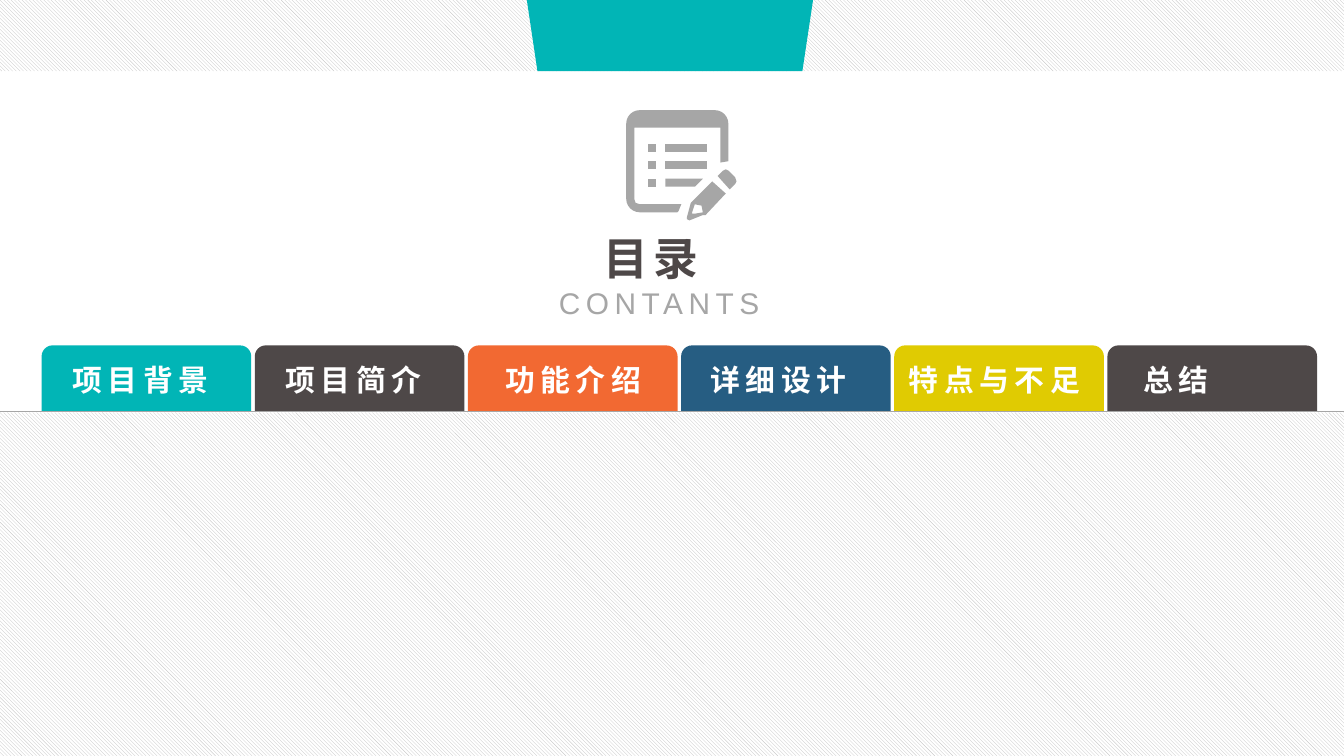
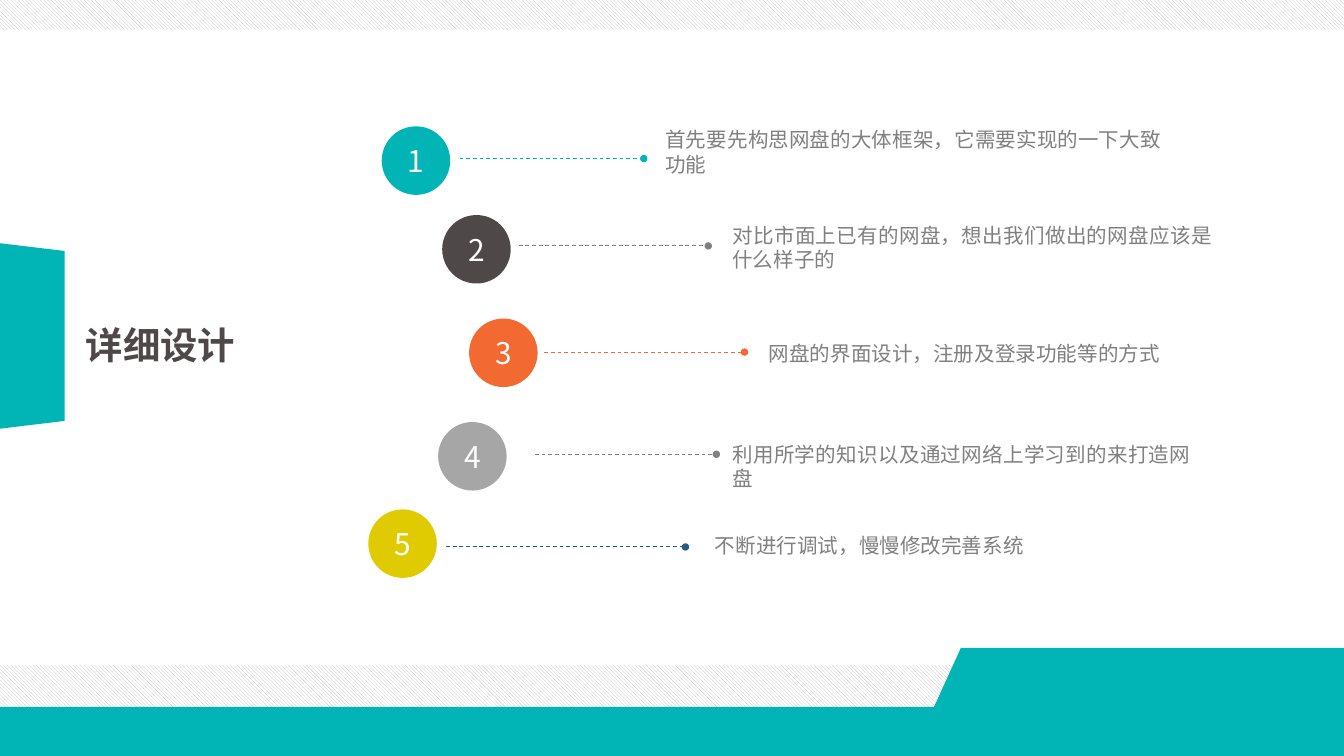
import math

import pptx
import pptx.dml.color
import pptx.enum.dml
import pptx.enum.shapes
import pptx.enum.text
import pptx.oxml.ns
import pptx.util

Inches = pptx.util.Inches
Pt = pptx.util.Pt
SHAPE = pptx.enum.shapes.MSO_SHAPE
ALIGN = pptx.enum.text.PP_ALIGN
qn = pptx.oxml.ns.qn

WIDTH = 10
HEIGHT = WIDTH * 9 / 16
CJK, LATIN = "Noto Sans CJK SC", "Arial"
COLORS = {
    "teal": "01B5B6",
    "dark": "4E4848",
    "orange": "F26932",
    "blue": "265D82",
    "yellow": "E0CB02",
    "silver": "A6A6A6",
    "gray": "808080",
    "hatch": "BFBFBF",
    "white": "FFFFFF",
}
STYLES = {
    "tab": {"size": Pt(16), "bold": True, "name": CJK, "color": "white", "spacing": 3},
    "heading": {"size": Pt(24), "bold": True, "name": CJK, "color": "dark", "spacing": 3},
    "subheading": {"size": Pt(16), "name": LATIN, "color": "silver", "spacing": 3},
    "title": {"size": Pt(20), "bold": True, "name": CJK, "color": "dark"},
    "number": {"size": Pt(16), "name": CJK, "color": "white"},
    "body": {"size": Pt(11), "name": CJK, "color": "gray"},
}

# label, colour, label offset from the tab, label width
TABS = [
    ("项目背景", "teal", 0.13, 1.27),
    ("项目简介", "dark", 0.13, 1.27),
    ("功能介绍", "orange", 0.18, 1.27),
    ("详细设计", "blue", 0.12, 1.27),
    ("特点与不足", "yellow", 0.01, 1.55),
    ("总结", "dark", 0.17, 1.27),
]

# circle left and top, circle colour, lead colour,
# lead (start, end, drop) and text (left, drop, width, lines) relative to the circle
STEPS = [
    (2.84, 0.94, "teal", "teal", (0.58, 1.95, 0.24), (2.11, 0.01, 3.69, 2),
     "首先要先构思网盘的大体框架，它需要实现的一下大致功能"),
    (3.29, 1.6, "dark", "gray", (0.57, 1.98, 0.23), (2.16, 0.06, 3.57, 2),
     "对比市面上已有的网盘，想出我们做出的网盘应该是什么样子的"),
    (3.49, 2.37, "orange", "orange", (0.56, 2.05, 0.25), (2.23, 0.17, 3.39, 1),
     "网盘的界面设计，注册及登录功能等的方式"),
    (3.26, 3.14, "silver", "gray", (0.72, 2.07, 0.24), (2.19, 0.15, 3.41, 2),
     "利用所学的知识以及通过网络上学习到的来打造网盘"),
    (2.74, 3.79, "yellow", "blue", (0.58, 2.36, 0.28), (2.58, 0.18, 3.7, 1),
     "不断进行调试，慢慢修改完善系统"),
]


def rgb(color):
    return pptx.dml.color.RGBColor.from_string(COLORS[color])


def paint(shape, color):
    shape.shadow.inherit = False
    shape.fill.solid()
    shape.fill.fore_color.rgb = rgb(color)
    shape.line.fill.background()
    return shape


def add_block(shapes, kind, box, color):
    return paint(shapes.add_shape(kind, *map(Inches, box)), color)


def add_hatch(page, box):
    """Band with thin diagonal stripes."""
    band = add_block(page.shapes, SHAPE.RECTANGLE, box, "white")
    band.fill.patterned()
    band.fill.pattern = pptx.enum.dml.MSO_PATTERN.LIGHT_DOWNWARD_DIAGONAL
    band.fill.fore_color.rgb = rgb("hatch")
    band.fill.back_color.rgb = rgb("white")


def add_outline(shapes, left, top, contours, color):
    """Filled polygon; contours after the first are holes."""
    contours = [[(Inches(left + x), Inches(top + y)) for x, y in contour]
                for contour in contours]
    builder = shapes.build_freeform(*contours[0][0])
    for index, contour in enumerate(contours):
        if index:
            builder.move_to(*contour[0])
        builder.add_line_segments(contour[1:], close=True)
    return paint(builder.convert_to_shape(), color)


def write(frame, text, style, align=None):
    para = frame.paragraphs[0]
    para.alignment = align
    span = para.add_run()
    span.text = text
    formats = dict(STYLES[style])
    span.font.color.rgb = rgb(formats.pop("color"))
    spacing = formats.pop("spacing", 0)
    for name, value in formats.items():
        setattr(span.font, name, value)
    props = span.font._element
    if spacing:
        props.set("spc", str(spacing * 100))
    east_asian = props.makeelement(qn("a:ea"), {"typeface": formats["name"]})
    props.find(qn("a:latin")).addnext(east_asian)
    return para


def add_text(shapes, box, text, style, align=ALIGN.JUSTIFY, inset=None):
    frame = shapes.add_textbox(*map(Inches, box)).text_frame
    frame.word_wrap = True
    frame.auto_size = pptx.enum.text.MSO_AUTO_SIZE.SHAPE_TO_FIT_TEXT
    if inset is not None:
        for side in ("left", "top", "right", "bottom"):
            setattr(frame, f"margin_{side}", Inches(inset))
    return write(frame, text, style, align)


def add_rule(page, start, end, color, weight):
    rule = page.shapes.add_connector(
        pptx.enum.shapes.MSO_CONNECTOR.STRAIGHT, *map(Inches, start + end))
    rule.line.color.rgb = rgb(color)
    rule.line.width = Pt(weight)
    props = rule._element.spPr
    props.append(props.makeelement(qn("a:effectLst"), {}))
    return rule


def add_lead(page, start, end, color):
    """Dashed line that ends in a small dot."""
    lead = add_rule(page, start, end, color, 0.5)
    lead.line.dash_style = pptx.enum.dml.MSO_LINE.DASH
    line = lead._element.spPr.find(qn("a:ln"))
    dot = {"type": "oval", "w": "sm", "len": "sm"}
    line.append(line.makeelement(qn("a:tailEnd"), dot))


def corner(x, y, radius, start):
    """Points of a quarter circle, clockwise from the start angle."""
    angles = [math.radians(start + step * 15) for step in range(7)]
    return [(x + radius * math.cos(a), y + radius * math.sin(a)) for a in angles]


def bar(x, y, width, height):
    return [(x, y), (x + width, y), (x + width, y + height), (x, y + height)]


def add_notepad_icon(page, left, top):
    sheet = [(0.41, 0.7), (0.39, 0.75), (0.38, 0.76), *corner(0.1, 0.66, 0.1, 90),
             *corner(0.1, 0.1, 0.1, 180), *corner(0.66, 0.1, 0.1, 270),
             (0.76, 0.38), (0.7, 0.39), (0.7, 0.13), (0.06, 0.13),
             (0.06, 0.66), (0.07, 0.69), (0.1, 0.7)]
    pencil = [(0.64, 0.53), (0.74, 0.62), (0.59, 0.78), (0.57, 0.78),
              (0.47, 0.82), (0.45, 0.81), (0.45, 0.8), (0.48, 0.69), (0.49, 0.68)]
    tip = [(0.51, 0.7), (0.49, 0.76), (0.49, 0.77), (0.51, 0.77),
           (0.57, 0.76), (0.56, 0.71)]
    eraser = [(0.68, 0.49), (0.72, 0.45), (0.74, 0.44), (0.76, 0.45),
              (0.81, 0.5), (0.82, 0.53), (0.81, 0.55), (0.77, 0.59)]
    last_line = [(0.29, 0.51), (0.57, 0.51), (0.51, 0.57), (0.29, 0.57)]
    bullets = [bar(0.16, y, 0.06, 0.06) for y in (0.25, 0.38, 0.51)]
    lines = [bar(0.29, y, 0.31, 0.06) for y in (0.25, 0.38)]

    icon = page.shapes.add_group_shape()
    for part in [[sheet], [pencil, tip], [eraser], [last_line],
                 *([piece] for piece in bullets + lines)]:
        add_outline(icon.shapes, left, top, part, "silver")


def add_tabs(page, left, top, width, height, last_left):
    pitch = (last_left - left) / (len(TABS) - 1)
    for index, (label, color, offset, label_width) in enumerate(TABS):
        x = left + index * pitch
        tab = page.shapes.add_group_shape()
        add_block(tab.shapes, SHAPE.ROUND_2_SAME_RECTANGLE,
                  (x, top, width, height), color)
        add_text(tab.shapes, (x + offset, top + 0.07, label_width, 0.37), label, "tab")


def add_step(page, number, step):
    left, top, color, lead_color, lead, note, text = step
    start, end, drop = lead
    note_left, note_drop, note_width, lines = note
    para = add_text(page.shapes,
                    (left + note_left, top + note_drop, note_width, lines * 0.18),
                    text, "body", inset=0)
    para.line_spacing = Pt(13)
    add_lead(page, (left + start, top + drop), (left + end, top + drop), lead_color)
    circle = add_block(page.shapes, SHAPE.OVAL, (left, top, 0.51, 0.51), color)
    circle.text_frame.vertical_anchor = pptx.enum.text.MSO_ANCHOR.MIDDLE
    write(circle.text_frame, str(number), "number", ALIGN.CENTER)


def add_footer(page, top):
    add_hatch(page, (0, top + 0.13, WIDTH, 0.51))
    bottom = HEIGHT - top
    outline = [(WIDTH, bottom), (0, bottom), (0, 0.44), (6.95, 0.44),
               (7.15, 0), (WIDTH, 0)]
    add_outline(page.shapes, 0, top, [outline], "teal")


def add_contents_page(deck):
    page = deck.slides.add_slide(deck.slide_layouts[6])
    horizon = 3.06
    add_hatch(page, (0, 0, WIDTH, 0.53))
    add_tabs(page, 0.31, 2.57, 1.56, 0.49, last_left=8.24)
    add_notepad_icon(page, 4.66, 0.82)
    add_text(page.shapes, (4.06, 2.07, 1.77, 0.37), "CONTANTS", "subheading")
    add_text(page.shapes, (4.39, 1.67, 1.21, 0.5), "目录", "heading")
    add_rule(page, (0, horizon), (WIDTH, horizon), "silver", 0.75)
    flag = add_block(page.shapes, SHAPE.TRAPEZOID, (3.92, 0, 2.13, 0.53), "teal")
    flag.adjustments[0] = 0.15
    flag._element.spPr.find(qn("a:xfrm")).set("flipV", "1")
    add_hatch(page, (0, horizon + 0.01, WIDTH, HEIGHT - horizon - 0.01))


def add_design_page(deck):
    page = deck.slides.add_slide(deck.slide_layouts[6])
    add_footer(page, 4.82)
    add_text(page.shapes, (0.54, 2.35, 1.96, 0.44), "详细设计", "title", align=None)
    add_hatch(page, (0, 0, WIDTH, 0.22))
    for number, step in enumerate(STEPS, 1):
        add_step(page, number, step)
    flag = add_block(page.shapes, SHAPE.TRAPEZOID, (-0.45, 2.26, 1.38, 0.48), "teal")
    flag.adjustments[0] = 0.12
    flag.rotation = 90


def main():
    deck = pptx.Presentation()
    deck.slide_width, deck.slide_height = Inches(WIDTH), Inches(HEIGHT)
    add_contents_page(deck)
    add_design_page(deck)
    deck.save("out.pptx")


if __name__ == "__main__":
    main()
